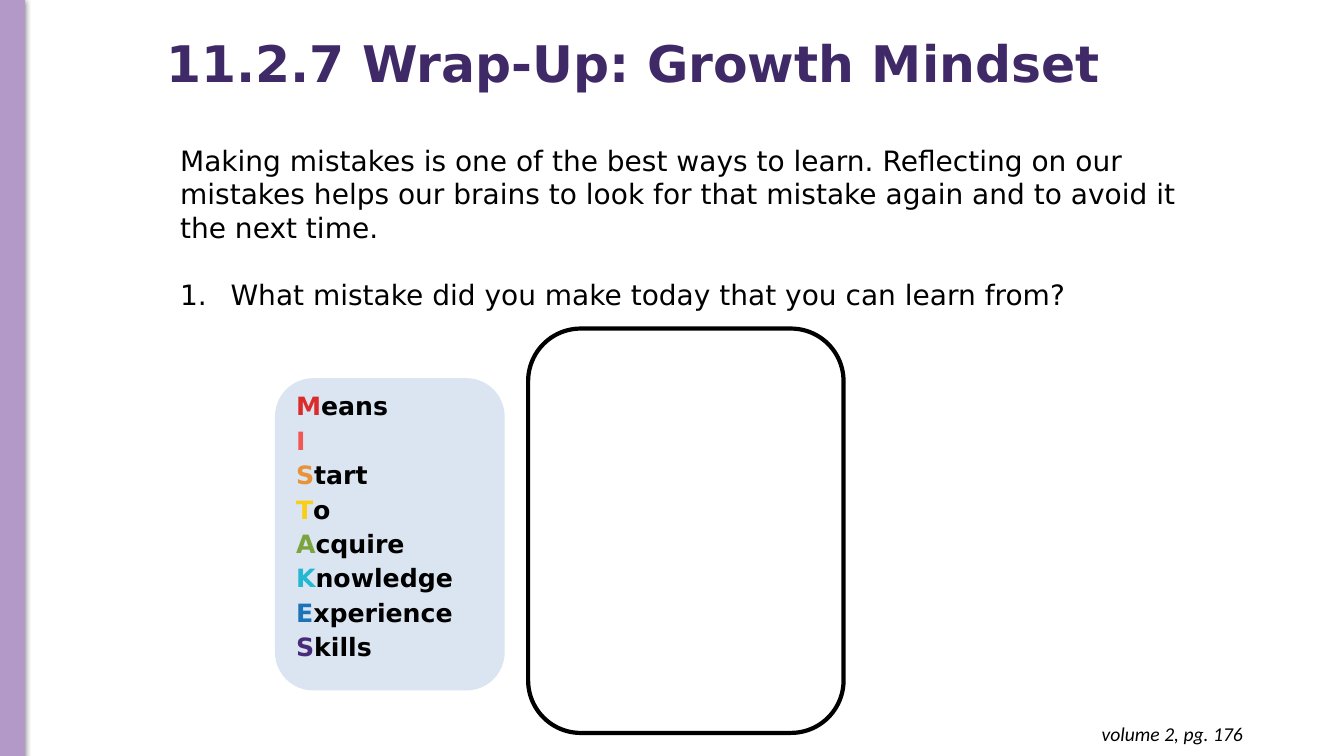
"""Build the Growth Mindset wrap-up slide."""
import pptx
import pptx.dml.color
import pptx.enum.shapes
import pptx.enum.text
import pptx.oxml
import pptx.oxml.ns
import pptx.util
from pptx.util import Cm

COLORS = {
    "bar": "B399C8", "title": "3F2A67", "ink": "000000", "card": "DAE5F1",
    "red": "DB2B2A", "coral": "F25756", "orange": "E99237", "yellow": "FACD17",
    "green": "7BA43F", "cyan": "24B7D2", "blue": "1B74B9", "purple": "4A2B79",
}
ACRONYM = [
    ("Means", "red"), ("I", "coral"), ("Start", "orange"), ("To", "yellow"),
    ("Acquire", "green"), ("Knowledge", "cyan"), ("Experience", "blue"), ("Skills", "purple"),
]
INTRO = ("Making mistakes is one of the best ways to learn. Reflecting on our mistakes helps "
         "our brains to look for that mistake again and to avoid it the next time.")
QUESTION = "What mistake did you make today that you can learn from?"
ANCHORS = pptx.enum.text.MSO_ANCHOR
ALIGNS = pptx.enum.text.PP_ALIGN
SHAPES = pptx.enum.shapes.MSO_SHAPE


def rgb(name):
    """Return the named colour."""
    return pptx.dml.color.RGBColor.from_string(COLORS[name])


def write_text(box, lines, size, font="DejaVu Sans", bold=False, italic=False,
               align=ALIGNS.LEFT, anchor=ANCHORS.TOP, spacing=1.0, gap=0):
    """Write lines, each a list of (text, colour) spans, and return the paragraphs."""
    frame = box.text_frame
    frame.word_wrap = True
    frame.vertical_anchor = anchor
    paras = []
    for index, spans in enumerate(lines):
        para = frame.add_paragraph() if index else frame.paragraphs[0]
        para.alignment = align
        para.line_spacing = spacing
        if index and gap:
            para.space_before = pptx.util.Pt(gap)
        for text, color in spans:
            span = para.add_run()
            span.text = text
            span.font.name = font
            span.font.size = pptx.util.Pt(size)
            span.font.bold = bold
            span.font.italic = italic
            span.font.color.rgb = rgb(color)
        paras.append(para)
    return paras


def add_box(page, left, top, width, height, grow=False):
    """Add a text box placed in centimetres."""
    box = page.shapes.add_textbox(Cm(left), Cm(top), Cm(width), Cm(height))
    if grow:
        box.text_frame.auto_size = pptx.enum.text.MSO_AUTO_SIZE.SHAPE_TO_FIT_TEXT
    return box


def add_panel(page, kind, left, top, width, height, fill=None, line=None, weight=0.75):
    """Add a preset shape with an optional fill and outline."""
    panel = page.shapes.add_shape(kind, Cm(left), Cm(top), Cm(width), Cm(height))
    panel.shadow.inherit = False
    if fill:
        panel.fill.solid()
        panel.fill.fore_color.rgb = rgb(fill)
    else:
        panel.fill.background()
    if line:
        panel.line.color.rgb = rgb(line)
        panel.line.width = pptx.util.Pt(weight)
    else:
        panel.line.fill.background()
    return panel


def add_shadow(panel):
    """Give a panel a soft half-transparent shadow."""
    effects = panel._element.spPr.find(pptx.oxml.ns.qn("a:effectLst"))
    effects.append(pptx.oxml.parse_xml(
        f'<a:outerShdw {pptx.oxml.ns.nsdecls("a")} blurRad="57150" dist="19050" dir="5400000">'
        f'<a:srgbClr val="{COLORS["ink"]}"><a:alpha val="50000"/></a:srgbClr></a:outerShdw>'))


def number_para(para, indent):
    """Number a paragraph with a hanging indent in centimetres."""
    props = para._p.get_or_add_pPr()
    props.set("marL", str(Cm(indent)))
    props.set("indent", str(-Cm(indent)))
    props.append(pptx.oxml.parse_xml(
        f'<a:buAutoNum {pptx.oxml.ns.nsdecls("a")} type="arabicPeriod"/>'))


def main():
    """Build and save the deck."""
    deck = pptx.Presentation()
    deck.slide_width, deck.slide_height = Cm(33.87), Cm(19.05)
    page = deck.slides.add_slide(deck.slide_layouts[6])

    add_shadow(add_panel(page, SHAPES.RECTANGLE, 0, -0.03, 0.61, 19.08, "bar", "bar"))

    title = add_box(page, 3.94, -0.18, 29.08, 3.68)
    write_text(title, [[("11.2.7 Wrap-Up: Growth Mindset", "title")]], 36,
               bold=True, anchor=ANCHORS.MIDDLE, spacing=0.9)

    prompt = add_box(page, 4.29, 3.48, 26.01, 4.52, grow=True)
    paras = write_text(prompt, [[(INTRO, "ink")], [(QUESTION, "ink")]], 20, gap=24)
    number_para(paras[1], 1.27)

    card = add_panel(page, SHAPES.ROUNDED_RECTANGLE, 6.93, 9.53, 5.79, 7.87, "card")
    card.text_frame.margin_bottom = Cm(0.64)
    lines = [[span for span in ((word[0], color), (word[1:], "ink")) if span[0]]
             for word, color in ACRONYM]
    write_text(card, lines, 18, bold=True, anchor=ANCHORS.MIDDLE, spacing=1.14)

    add_panel(page, SHAPES.ROUNDED_RECTANGLE, 13.31, 8.28, 7.95, 10.19, line="ink", weight=3)

    footer = add_box(page, 24.26, 17.93, 7.32, 1.12, grow=True)
    footer.text_frame.margin_top = footer.text_frame.margin_bottom = Cm(0.25)
    write_text(footer, [[("volume 2, pg. 176", "ink")]], 14, font="Calibri",
               italic=True, align=ALIGNS.RIGHT)

    deck.save("out.pptx")


if __name__ == "__main__":
    main()
